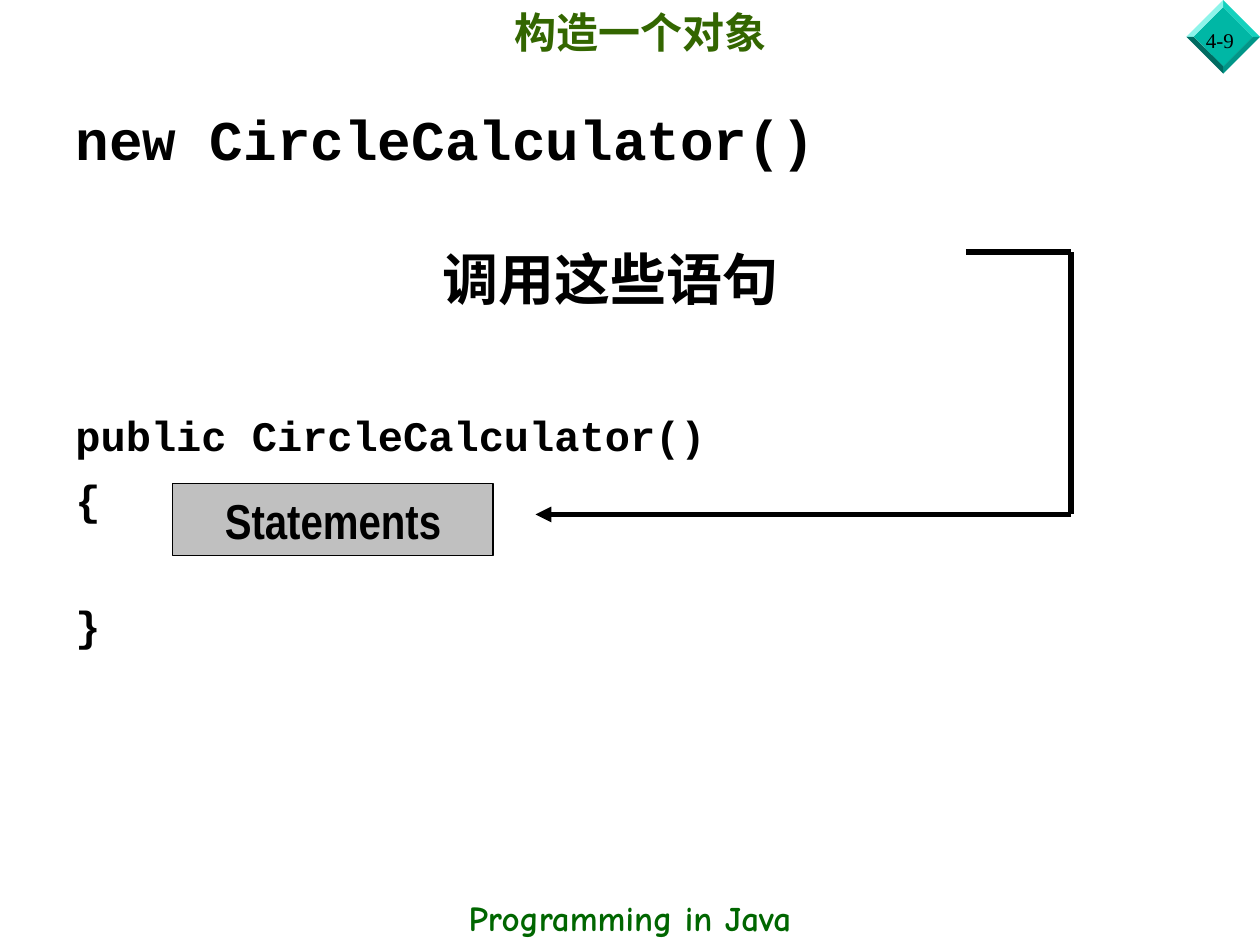
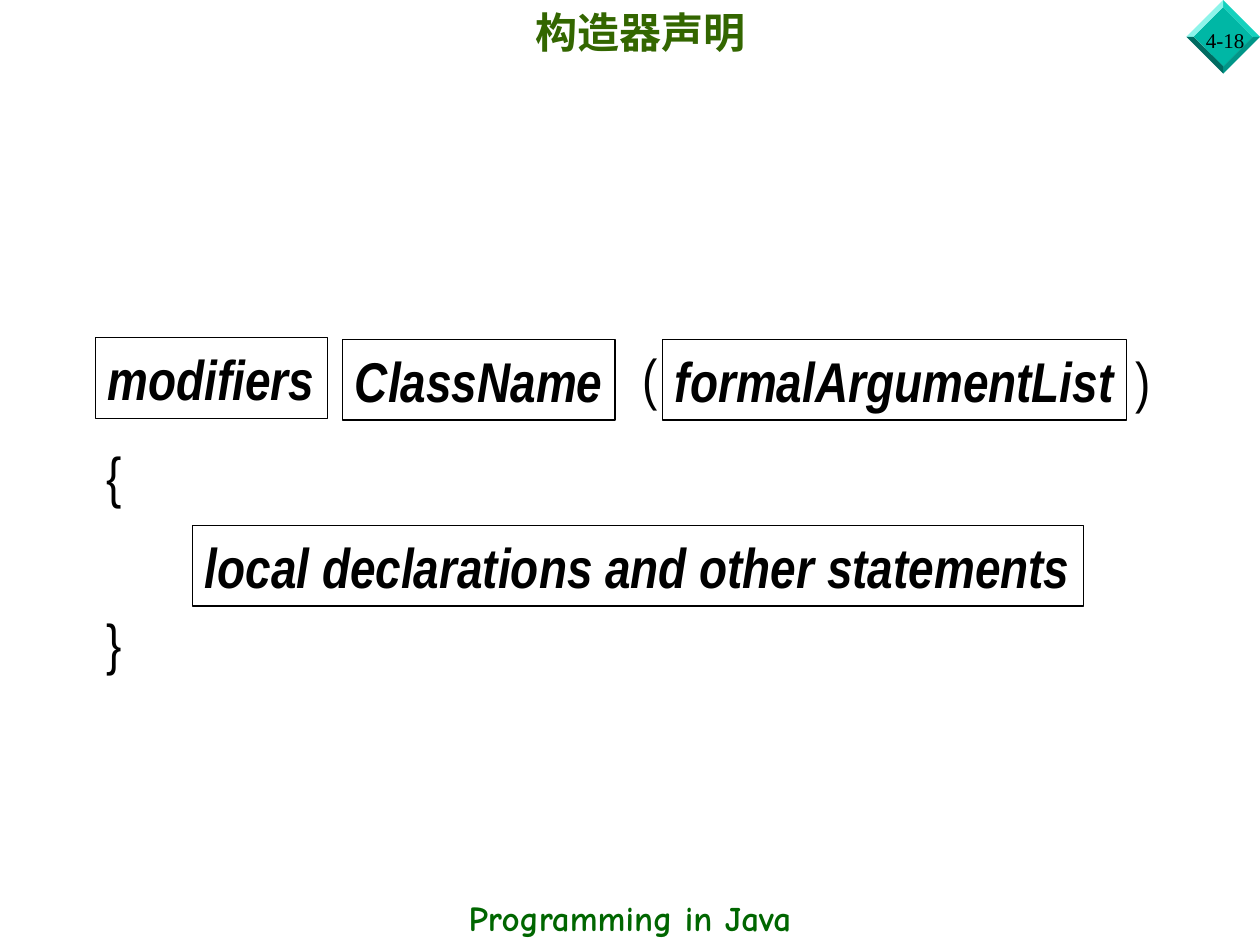
from dataclasses import dataclass
from itertools import pairwise

from lxml import etree
from pptx import Presentation
from pptx.dml.color import RGBColor
from pptx.enum.shapes import MSO_CONNECTOR, MSO_SHAPE
from pptx.enum.text import MSO_ANCHOR, PP_ALIGN
from pptx.oxml.ns import qn
from pptx.util import Pt

LEFT, CENTER = PP_ALIGN.LEFT, PP_ALIGN.CENTER
TOP, MIDDLE = MSO_ANCHOR.TOP, MSO_ANCHOR.MIDDLE
RECT, STRAIGHT = MSO_SHAPE.RECTANGLE, MSO_CONNECTOR.STRAIGHT


@dataclass(frozen=True)
class Theme:
    ink: str = "000000"
    title: str = "336600"
    footer: str = "006600"
    gray: str = "C0C0C0"
    gem: str = "00B7A5"
    facets: tuple = (
        (1, -1, "14D1BE"),
        (-1, -1, "8CF4EA"),
        (1, 1, "009688"),
        (-1, 1, "006B61"),
    )
    serif: str = "Times New Roman"
    comic: str = "Comic Neue"
    mono: str = "Courier New"
    narrow: str = "Arial Narrow"
    small: int = 12
    footer_size: int = 20
    title_size: int = 24
    code_size: int = 24
    label_size: int = 28
    large: int = 32


class Deck:
    def __init__(self, theme):
        self.t = theme
        self.prs = Presentation()
        self.prs.slide_width, self.prs.slide_height = Pt(720), Pt(540)

    def slide(self, title, number):
        t = self.t
        self.s = self.prs.slides.add_slide(self.prs.slide_layouts[6])
        self.gem(699, 21, 21, 17)
        self.text(number, (682, 12, 38, 22), t.serif, t.small, align=LEFT, anchor=TOP)
        self.text("Programming in Java", (0, 509, 720, 31), t.comic, t.footer_size,
                  color=t.footer, bold=True, anchor=TOP)
        self.text(title, (60, 0, 612, 36), t.comic, t.title_size, color=t.title, bold=True)

    def polygon(self, points, color):
        builder = self.s.shapes.build_freeform(*points[0], scale=Pt(1))
        builder.add_line_segments(points[1:], close=True)
        sp = builder.convert_to_shape()
        sp.shadow.inherit = False
        sp.fill.solid()
        sp.fill.fore_color.rgb = RGBColor.from_string(color)
        sp.line.fill.background()

    def gem(self, x, y, outer, inner):
        self.polygon([(x, y - inner), (x - inner, y), (x, y + inner), (x + inner, y)], self.t.gem)
        for dx, dy, color in self.t.facets:
            self.polygon([(x, y + dy * inner), (x, y + dy * outer),
                          (x + dx * outer, y), (x + dx * inner, y)], color)

    def style(self, p, font, size, color=None, bold=False, italic=False, align=CENTER):
        p.alignment = align
        for r in p.runs:
            r.font.name, r.font.size = font, Pt(size)
            r.font.bold, r.font.italic = bold, italic
            r.font.color.rgb = RGBColor.from_string(color or self.t.ink)

    def text(self, text, box, font, size, wrap=True, anchor=MIDDLE, **look):
        sp = self.s.shapes.add_textbox(*map(Pt, box))
        self.fill_text(sp, text, font, size, wrap, anchor, **look)

    def fill_text(self, sp, text, font, size, wrap, anchor, **look):
        tf = sp.text_frame
        tf.text = text
        tf.word_wrap, tf.vertical_anchor = wrap, anchor
        self.style(tf.paragraphs[0], font, size, **look)

    def box(self, text, box, size, fill=None, wrap=False, italic=True):
        sp = self.s.shapes.add_shape(RECT, *map(Pt, box))
        sp.shadow.inherit = False
        if fill:
            sp.fill.solid()
            sp.fill.fore_color.rgb = RGBColor.from_string(fill)
        else:
            sp.fill.background()
        sp.line.color.rgb = RGBColor.from_string(self.t.ink)
        sp.line.width = Pt(0.75)
        self.fill_text(sp, text, self.t.narrow, size, wrap, MIDDLE, bold=True, italic=italic)

    def body(self, box, rows):
        tf = self.s.shapes.add_textbox(*map(Pt, box)).text_frame
        tf.word_wrap = True
        for i, (text, font, size, before, indent, line) in enumerate(rows):
            p = tf.add_paragraph() if i else tf.paragraphs[0]
            p.text = text
            self.style(p, font, size, bold=True, align=LEFT)
            p.space_before = Pt(before)
            if line:
                p.line_spacing = Pt(line)
            if indent:
                p._p.get_or_add_pPr().set("marL", str(Pt(indent)))

    def arrow(self, points):
        for start, end in pairwise(points):
            c = self.s.shapes.add_connector(STRAIGHT, *map(Pt, start + end))
            c.line.color.rgb = RGBColor.from_string(self.t.ink)
            c.line.width = Pt(3)
            etree.SubElement(c._element.spPr, qn("a:effectLst"))
        etree.SubElement(c.line._get_or_add_ln(), qn("a:tailEnd"), type="triangle")


def build_object_slide(deck):
    t = deck.t
    deck.slide("构造一个对象", "4-9")
    deck.body((36, 56, 660, 448), [
        ("new CircleCalculator()", t.mono, t.large, 0, 0, None),
        ("调用这些语句", t.serif, t.large, 40, 210, 40),
        ("public CircleCalculator()", t.mono, t.code_size, 56, 0, None),
        ("{", t.mono, t.code_size, 8, 0, None),
        ("}", t.mono, t.code_size, 43, 0, None),
    ])
    deck.box("Statements", (98.75, 276.5, 183, 41), t.label_size, t.gray, wrap=True, italic=False)
    deck.arrow([(552, 144), (612, 144), (612, 294), (306, 294)])


def build_declaration_slide(deck):
    t = deck.t
    deck.slide("构造器声明", "4-18")
    height = 46
    for text, x, y, width in (
        ("modifiers", 54.5, 193, 132.5),
        ("ClassName", 195.75, 194, 155.75),
        ("formalArgumentList", 378.75, 194, 265),
        ("local declarations and other statements", 110, 300.25, 509),
    ):
        deck.box(text, (x, y, width, height), t.large)
    for mark, x, y in (("(", 360, 192.5), (")", 642, 194), ("{", 54, 248.5), ("}", 54, 344)):
        deck.text(mark, (x, y, 23, height), t.narrow, t.large, wrap=False)


def main():
    deck = Deck(Theme())
    build_object_slide(deck)
    build_declaration_slide(deck)
    deck.prs.save("out.pptx")


if __name__ == "__main__":
    main()
